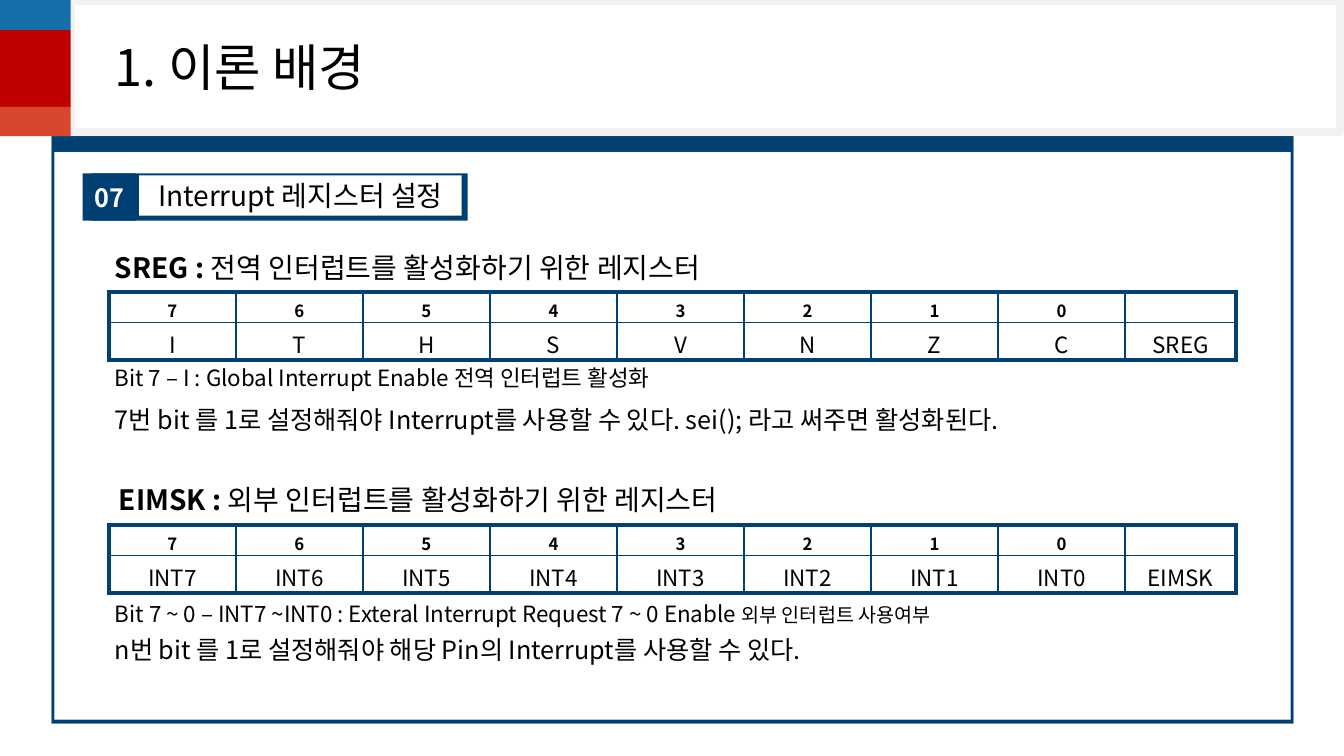
from lxml.etree import SubElement
from pptx import Presentation
from pptx.dml.color import RGBColor
from pptx.enum.shapes import MSO_SHAPE
from pptx.enum.text import MSO_ANCHOR, MSO_AUTO_SIZE, PP_ALIGN
from pptx.oxml.ns import qn
from pptx.util import Pt

PX = 9144  # 100 px to the inch

THEME = {
    "font": "Noto Sans CJK KR",
    "navy": "004073", "badge": "003F72", "white": "FFFFFF", "black": "000000",
    "hairline": "D9D9D9", "title_edge": "F2F2F2",
    "blue": "176FAA", "red": "C00000", "orange": "D84630",
    "title": 36, "heading": 20, "body": 18, "note": 16, "small": 14, "bit": 12,
}

TITLE = "1. 이론 배경"
SECTION_NUMBER, SECTION_NAME = "07", "Interrupt 레지스터 설정"
BITS = ["7", "6", "5", "4", "3", "2", "1", "0", ""]
REGISTERS = [  # top, names
    (290, ["I", "T", "H", "S", "V", "N", "Z", "C", "SREG"]),
    (521, [f"INT{bit}" for bit in range(7, -1, -1)] + ["EIMSK"]),
]
SREG_USAGE = "7번 bit 를 1로 설정해줘야 Interrupt를 사용할 수 있다. sei(); 라고 써주면 활성화된다."
LABELS = [  # box, wraps, runs of (text, size, bold)
    ((104, 244, 667, 44), True, [("SREG : ", "heading", True),
                                 ("전역 인터럽트를 활성화하기 위한 레지스터", "heading", False)]),
    ((104, 356, 667, 37), True,
     [("Bit 7 – I : Global Interrupt Enable 전역 인터럽트 활성화", "note", False)]),
    ((108, 474, 722, 44), True, [("EIMSK : ", "heading", True),
                                 ("외부 인터럽트를 활성화하기 위한 레지스터", "heading", False)]),
    ((104, 590, 918, 37), False,
     [("Bit 7 ~ 0 – INT7 ~INT0 : Exteral Interrupt Request 7 ~ 0 Enable ", "note", False),
      ("외부 인터럽트 사용여부", "small", False)]),
    ((104, 624, 1028, 40), True,
     [("n번 bit 를 1로 설정해줘야 해당 Pin의 Interrupt를 사용할 수 있다.", "body", False)]),
]
COLOR_STRIP = [("blue", 31), ("red", 76), ("orange", 29)]  # colour, height
COLUMN_WIDTHS = [126] * 8 + [110]
ROW_HEIGHTS = [30, 37]


def color(name):
    return RGBColor.from_string(THEME[name])


def emu(box):
    return [length * PX for length in box]


def write(paragraph, text, size="body", ink="black", bold=False, align=None):
    if align is not None:
        paragraph.alignment = align
    if not text:  # an empty cell keeps a small line height
        SubElement(paragraph._p, qn("a:endParaRPr"), sz=str(THEME[size] * 100))
        return
    run = paragraph.add_run()
    run.text = text
    run.font.size = Pt(THEME[size])
    run.font.bold = bold
    run.font.color.rgb = color(ink)
    run.font.name = THEME["font"]
    SubElement(run._r.get_or_add_rPr(), qn("a:ea"), typeface=THEME["font"])


def add_block(shapes, box, fill, line=None, width=0.25, alpha=None, kind=MSO_SHAPE.RECTANGLE):
    shape = shapes.add_shape(kind, *emu(box))
    shape.shadow.inherit = False
    shape.fill.solid()
    shape.fill.fore_color.rgb = color(fill)
    if line is None:
        shape.line.fill.background()
        return shape
    shape.line.color.rgb = color(line)
    shape.line.width = Pt(width)
    if alpha:
        edge = shape.line._ln.find(".//" + qn("a:srgbClr"))
        SubElement(edge, qn("a:alpha"), val=str(alpha * 1000))
    return shape


def add_panel(shapes, box, fill):
    panel = add_block(shapes, box, fill, "hairline", alpha=43, kind=MSO_SHAPE.ROUNDED_RECTANGLE)
    panel.adjustments[0] = 0


def label_block(shape, text, size, **style):
    frame = shape.text_frame
    frame.word_wrap = True
    frame.vertical_anchor = MSO_ANCHOR.MIDDLE
    write(frame.paragraphs[0], text, size, **style)
    return frame


def add_label(shapes, box, wraps, runs):
    frame = shapes.add_textbox(*emu(box)).text_frame
    frame.word_wrap = wraps
    frame.auto_size = MSO_AUTO_SIZE.SHAPE_TO_FIT_TEXT
    for text, size, bold in runs:
        write(frame.paragraphs[0], text, size, bold=bold)


def style_cell(cell, borders, ink, top, anchor):
    """Set the left, right, top and bottom border widths and clear the fill."""
    properties = cell._tc.get_or_add_tcPr()
    for side, width in zip("LRTB", borders):
        line = SubElement(properties, qn(f"a:ln{side}"), w=str(Pt(width)))
        fill = SubElement(line, qn("a:solidFill"))
        SubElement(fill, qn("a:srgbClr"), val=THEME[ink])
    cell.fill.background()
    cell.margin_top, cell.margin_bottom = top * PX, 0
    cell.vertical_anchor = anchor


def add_grid(shapes, left, top, widths, heights):
    box = emu((left, top, sum(widths), sum(heights)))
    table = shapes.add_table(len(heights), len(widths), *box).table
    table.first_row = table.horz_banding = False
    for column, width in zip(table.columns, widths):
        column.width = width * PX
    for row, height in zip(table.rows, heights):
        row.height = height * PX
    return table


def add_register(shapes, top, names):
    table = add_grid(shapes, 108, top, COLUMN_WIDTHS, ROW_HEIGHTS)
    last = len(names) - 1
    for row, texts in enumerate((BITS, names)):
        header = row == 0
        for column, text in enumerate(texts):
            cell = table.cell(row, column)
            outer = (column == 0, column == last, header, not header)
            style_cell(cell, [3 if edge else 1 for edge in outer], "navy", 5,
                       MSO_ANCHOR.BOTTOM if header else MSO_ANCHOR.TOP)
            write(cell.text_frame.paragraphs[0], text, "bit" if header else "note",
                  bold=header, align=PP_ALIGN.CENTER)


def main():
    presentation = Presentation()
    presentation.slide_width, presentation.slide_height = emu((1333, 750))
    slide = presentation.slides.add_slide(presentation.slide_layouts[6])
    shapes = slide.shapes

    add_panel(shapes, (51, 135, 1232, 583), "navy")
    add_panel(shapes, (54, 151, 1226, 563), "white")
    title = add_block(shapes, (70, 1, 1259, 130), "white", "title_edge", 6)
    label_block(title, TITLE, "title", align=PP_ALIGN.LEFT).margin_left = 44 * PX

    section = shapes.add_group_shape().shapes
    add_block(section, (91, 172, 373, 47), "badge")
    name = add_block(section, (138, 174, 320, 40), "white")
    label_block(name, SECTION_NAME, "heading", align=PP_ALIGN.CENTER)
    number = add_block(shapes, (82, 172, 53, 47), "badge")
    label_block(number, SECTION_NUMBER, "body", ink="white", bold=True, align=PP_ALIGN.CENTER)

    strip = shapes.add_group_shape().shapes
    strip_top = -1
    for fill, height in COLOR_STRIP:
        add_block(strip, (-1, strip_top, 71, height), fill)
        strip_top += height

    for top, names in REGISTERS:
        add_register(shapes, top, names)
    usage = add_grid(shapes, 104, 393, [1122], [40]).cell(0, 0)
    style_cell(usage, [1] * 4, "white", 4, MSO_ANCHOR.MIDDLE)
    write(usage.text_frame.paragraphs[0], SREG_USAGE, align=PP_ALIGN.JUSTIFY)
    for box, wraps, runs in LABELS:
        add_label(shapes, box, wraps, runs)

    presentation.save("out.pptx")


if __name__ == "__main__":
    main()
